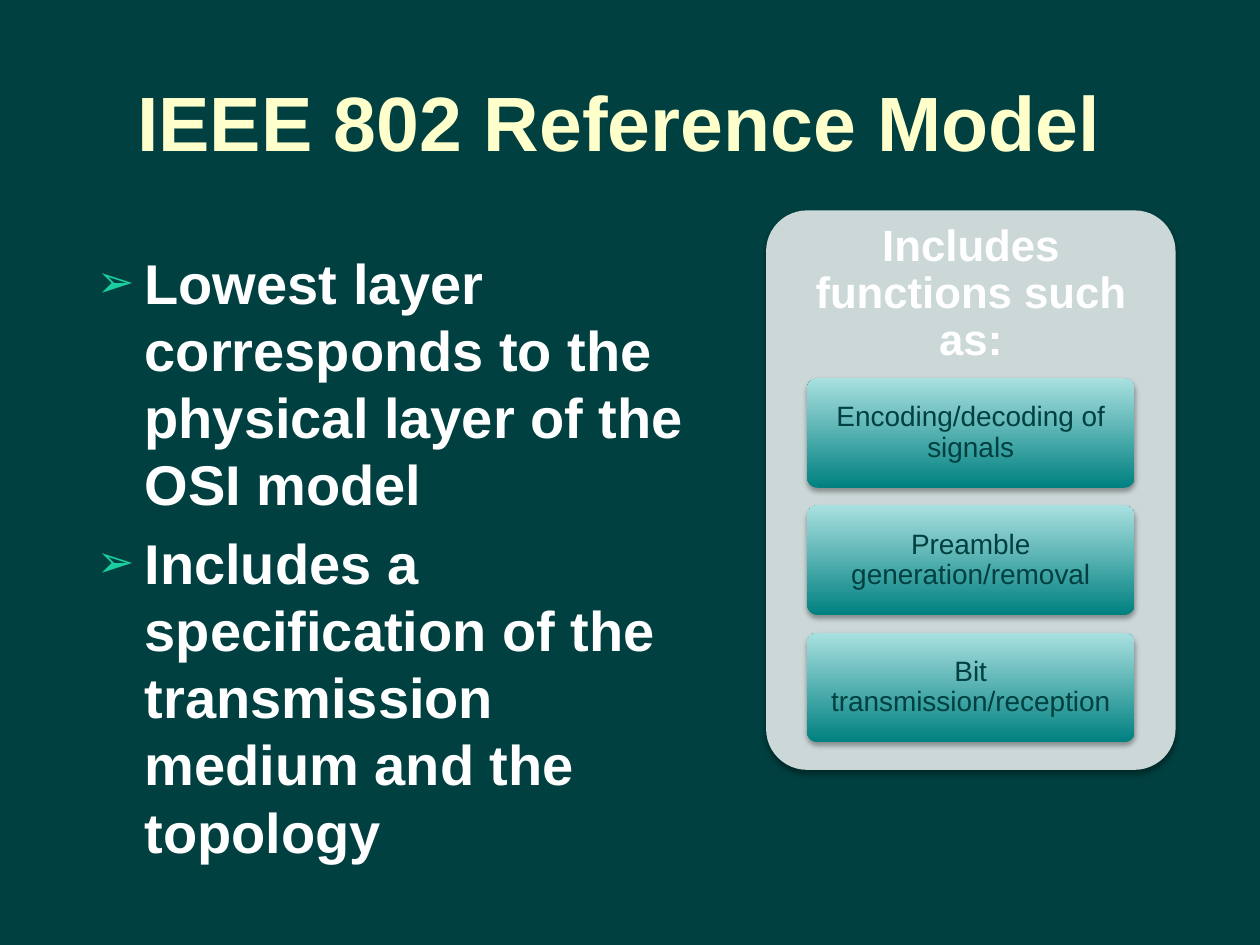
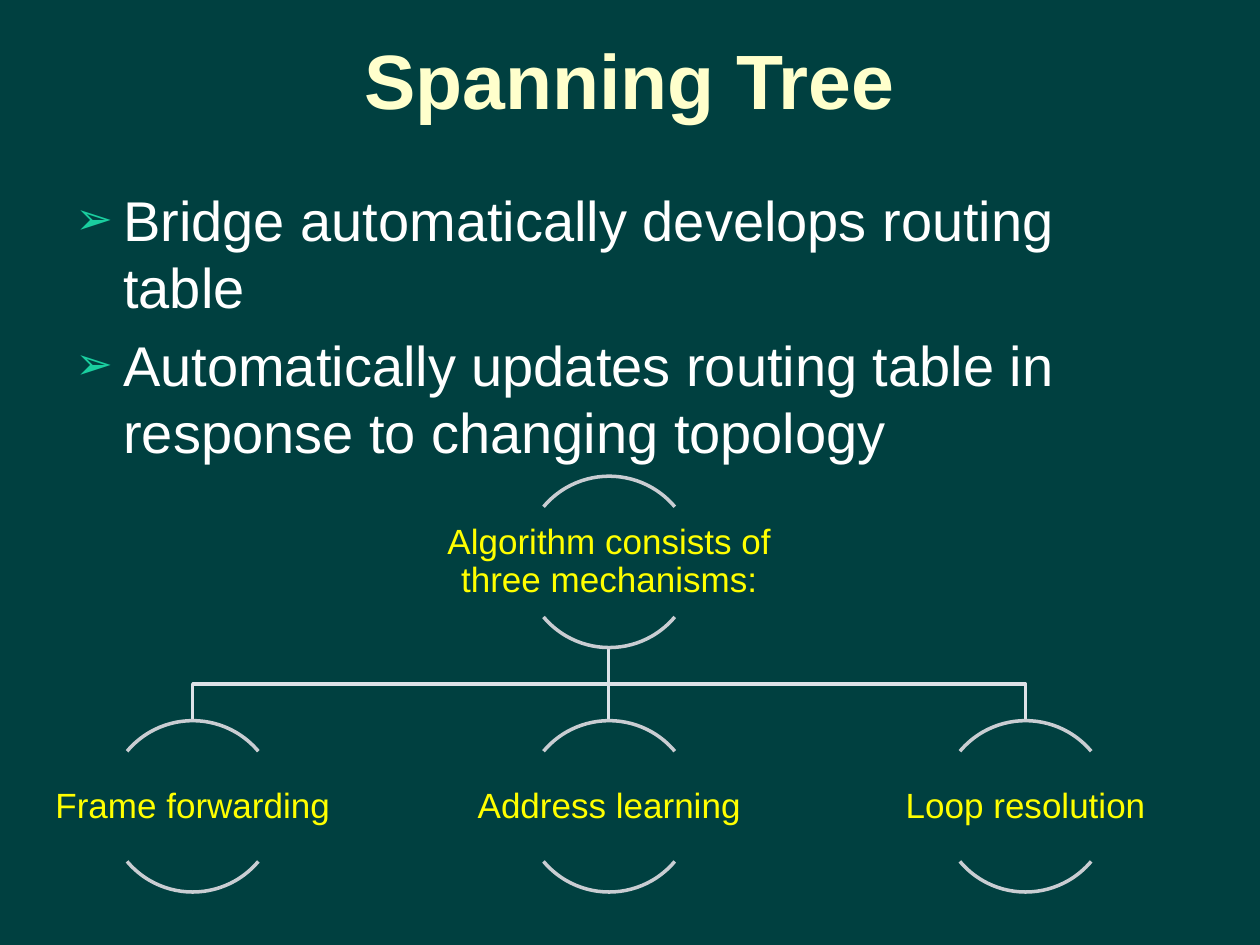
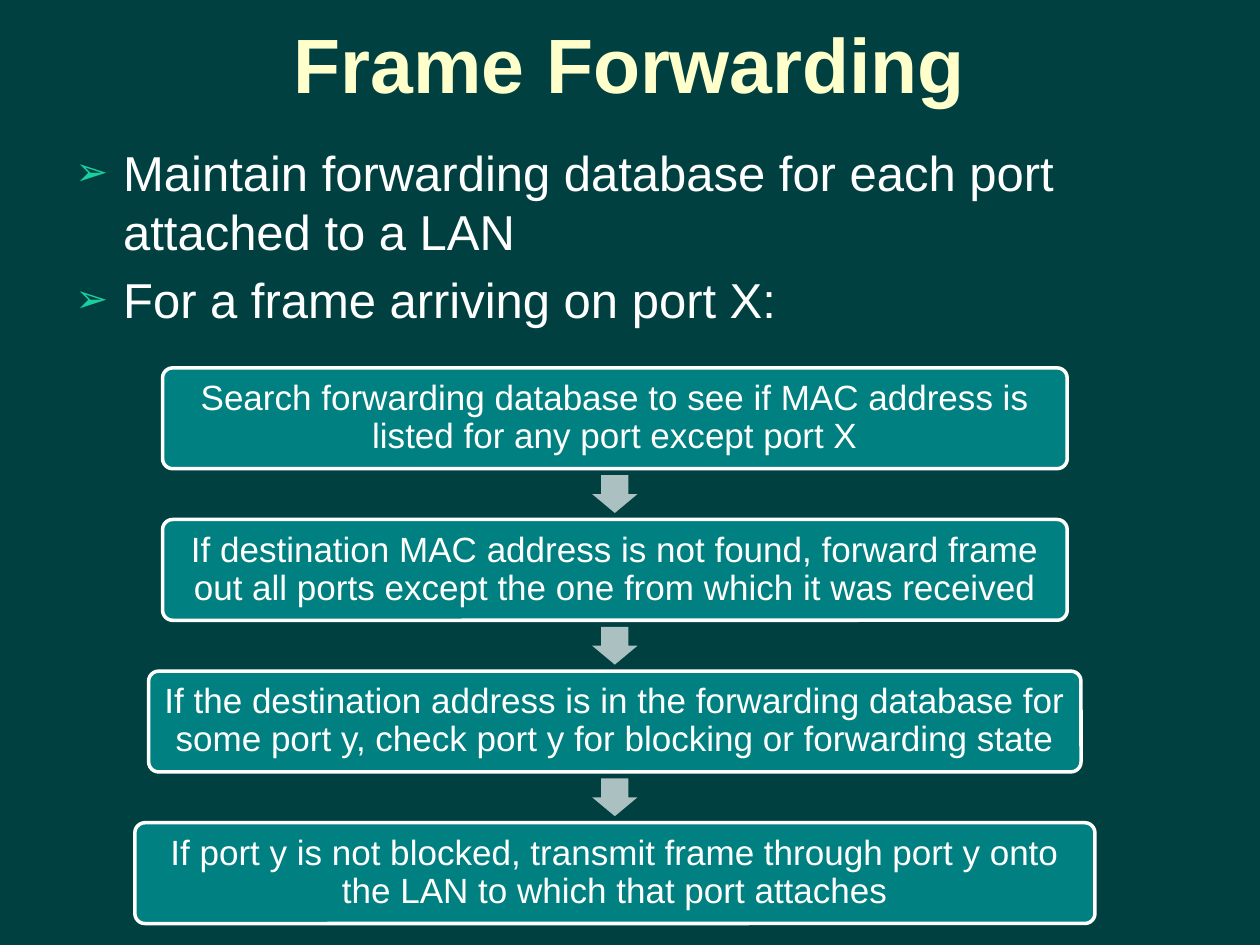
from dataclasses import dataclass

from lxml import etree
from pptx import Presentation
from pptx import util as u
from pptx.dml.color import RGBColor
from pptx.enum import shapes, text
from pptx.oxml import ns


@dataclass(frozen=True)
class Theme:
    font: str = "Arial"
    background: str = "004040"
    title: str = "FFFFCC"
    light: str = "FFFFFF"
    bullet: str = "1ACE9F"
    panel: str = "CCD8D8"
    teal: str = "008080"
    pale_teal: str = "A9E0E0"
    arrow: str = "ABC0C0"
    arc: str = "C9CDD2"
    branch: str = "DDE2E7"
    node: str = "FFFF00"
    title_size: int = 44
    body_size: int = 32
    small_body_size: int = 28
    heading_size: int = 25
    label_size: int = 20
    card_size: int = 16
    line_width: int = 2


@dataclass(frozen=True)
class Box:
    left: float
    top: float
    width: float
    height: float

    def inches(self):
        return [u.Inches(v) for v in (self.left, self.top, self.width, self.height)]


THEME = Theme()
SHAPE = shapes.MSO_SHAPE


def color(value):
    return RGBColor.from_string(value)


def add_xml(parent, tag, **attributes):
    return etree.SubElement(parent, ns.qn(tag), attributes)


def write_run(paragraph, words, size, ink, bold=False):
    run = paragraph.add_run()
    run.text = words
    run.font.name = THEME.font
    run.font.size = u.Pt(size)
    run.font.bold = bold
    run.font.color.rgb = color(ink)


def write_label(shape, words, size, ink, inset, bold=False):
    """Centre one tightly spaced paragraph in a shape."""
    frame = shape.text_frame
    frame.word_wrap = True
    frame.vertical_anchor = text.MSO_ANCHOR.MIDDLE
    frame.margin_left = frame.margin_right = u.Inches(inset)
    frame.margin_top = frame.margin_bottom = u.Inches(inset)
    paragraph = frame.paragraphs[0]
    paragraph.alignment = text.PP_ALIGN.CENTER
    paragraph.line_spacing = 0.9
    write_run(paragraph, words, size, ink, bold)


def add_plain_shape(slide, kind, box, adjustments, fill=None, line=None):
    shape = slide.shapes.add_shape(kind, *box.inches())
    shape.shadow.inherit = False
    for index, value in enumerate(adjustments):
        shape.adjustments[index] = value
    if fill:
        shape.fill.solid()
        shape.fill.fore_color.rgb = color(fill)
    else:
        shape.fill.background()
    style_line(shape, line)
    return shape


def style_line(shape, ink):
    if ink:
        shape.line.color.rgb = color(ink)
        shape.line.width = u.Pt(THEME.line_width)
    else:
        shape.line.fill.background()


def add_soft_shadow(shape):
    effects = shape._element.spPr.find(ns.qn("a:effectLst"))
    shadow = add_xml(effects, "a:outerShdw", blurRad=str(u.Pt(3.1)), dist=str(u.Pt(1.8)),
                     dir="5400000", rotWithShape="0")
    ink = add_xml(shadow, "a:srgbClr", val="000000")
    add_xml(ink, "a:alpha", val="35000")


def add_slide(presentation, title, title_box):
    slide = presentation.slides.add_slide(presentation.slide_layouts[6])
    slide.background.fill.solid()
    slide.background.fill.fore_color.rgb = color(THEME.background)
    frame = slide.shapes.add_textbox(*title_box.inches()).text_frame
    frame.word_wrap = True
    frame.vertical_anchor = text.MSO_ANCHOR.MIDDLE
    frame.paragraphs[0].alignment = text.PP_ALIGN.CENTER
    write_run(frame.paragraphs[0], title, THEME.title_size, THEME.title, bold=True)
    return slide


def add_bullets(slide, box, items, size, bold=False):
    frame = slide.shapes.add_textbox(*box.inches()).text_frame
    frame.word_wrap = True
    for index, item in enumerate(items):
        paragraph = frame.add_paragraph() if index else frame.paragraphs[0]
        paragraph.space_before = u.Pt(size * 0.2)
        properties = paragraph._p.get_or_add_pPr()
        indent = u.Inches(0.38)
        properties.set("marL", str(indent))
        properties.set("indent", str(-indent))
        add_xml(add_xml(properties, "a:buClr"), "a:srgbClr", val=THEME.bullet)
        add_xml(properties, "a:buSzPct", val="80000")
        add_xml(properties, "a:buFont", typeface=THEME.font)
        add_xml(properties, "a:buChar", char="➢")
        write_run(paragraph, item, size, THEME.light, bold)


def add_function_panel(slide, box, heading, functions):
    panel = add_plain_shape(slide, SHAPE.ROUNDED_RECTANGLE, box, [0.1], THEME.panel)
    add_soft_shadow(panel)
    heading_height = box.height * 0.3
    heading_box = Box(box.left, box.top, box.width, heading_height)
    write_label(slide.shapes.add_textbox(*heading_box.inches()), heading,
                THEME.heading_size, THEME.light, 0.1, bold=True)
    card_width, card_height, pitch = box.width * 0.8, 0.87, 1.01
    for index, function in enumerate(functions):
        card_box = Box(box.left + (box.width - card_width) / 2,
                       box.top + heading_height + index * pitch, card_width, card_height)
        card = add_plain_shape(slide, SHAPE.ROUNDED_RECTANGLE, card_box, [0.1])
        card.fill.gradient()
        card.fill.gradient_angle = 90
        for stop, ink in zip(card.fill.gradient_stops, (THEME.teal, THEME.pale_teal)):
            stop.color.rgb = color(ink)
        add_soft_shadow(card)
        write_label(card, function, THEME.card_size, THEME.background, 0.03)


def add_node(slide, box, label):
    """Draw a label between the top and bottom arcs of a circle."""
    for angles in ((132, 192), (24, 84)):
        add_plain_shape(slide, SHAPE.ARC, box, angles, line=THEME.arc)
    label_box = Box(box.left - box.width / 2, box.top + 0.25, box.width * 2, 0.87)
    write_label(slide.shapes.add_textbox(*label_box.inches()), label,
                THEME.label_size, THEME.node, 0.01)


def add_branch(slide, start_x, start_y, end_x, end_y):
    """Join parent to child: straight down, or by an elbow halfway."""
    start_x, start_y, end_x, end_y = map(u.Inches, (start_x, start_y, end_x, end_y))
    if start_x == end_x:
        branch = slide.shapes.add_connector(
            shapes.MSO_CONNECTOR.STRAIGHT, start_x, start_y, end_x, end_y)
        add_xml(branch._element.spPr, "a:effectLst")
    else:
        middle_y = (start_y + end_y) // 2
        builder = slide.shapes.build_freeform(start_x, start_y)
        builder.add_line_segments(
            [(start_x, middle_y), (end_x, middle_y), (end_x, end_y)], close=False)
        branch = builder.convert_to_shape()
        branch.shadow.inherit = False
        branch.fill.background()
    style_line(branch, THEME.branch)


def add_tree(slide, box, root, children):
    circle = 1.36
    pitch = (box.width - 2 * circle) / (len(children) - 1)
    center = box.left + box.width / 2
    child_top = box.top + box.height - circle
    centers = [box.left + circle + index * pitch for index in range(len(children))]
    for child_center in centers:
        add_branch(slide, round(center, 2), box.top + circle, round(child_center, 2), child_top)
    add_node(slide, Box(center - circle / 2, box.top, circle, circle), root)
    for child_center, child in zip(centers, children):
        add_node(slide, Box(child_center - circle / 2, child_top, circle, circle), child)


def add_flow(slide, box, steps):
    """Stack (text, width) steps, centred, with an arrow in each gap."""
    step_height = 0.8
    pitch = (box.height - step_height) / (len(steps) - 1)
    arrow_width, arrow_height = 0.36, 0.3
    center = box.left + box.width / 2
    for index, (words, width) in enumerate(steps):
        top = box.top + index * pitch
        if index:
            gap_center = top - (pitch - step_height) / 2
            arrow_box = Box(center - arrow_width / 2, gap_center - arrow_height / 2,
                            arrow_width, arrow_height)
            add_plain_shape(slide, SHAPE.DOWN_ARROW, arrow_box, [0.6, 0.5], THEME.arrow)
        step = add_plain_shape(slide, SHAPE.ROUNDED_RECTANGLE,
                               Box(center - width / 2, top, width, step_height),
                               [0.1], THEME.teal, THEME.light)
        write_label(step, words, THEME.label_size, THEME.light, 0.08)


def build_reference_model(presentation):
    slide = add_slide(presentation, "IEEE 802 Reference Model ", Box(0, 0.33, 10, 1.25))
    add_bullets(slide, Box(0.67, 1.92, 5.17, 5.17), [
        "Lowest layer corresponds to the physical layer of the OSI model",
        "Includes a specification of the transmission medium and the topology",
    ], THEME.body_size, bold=True)
    add_function_panel(slide, Box(6.08, 1.67, 3.25, 4.44), "Includes functions such as:", [
        "Encoding/decoding of signals",
        "Preamble generation/removal",
        "Bit transmission/reception",
    ])


def build_spanning_tree(presentation):
    slide = add_slide(presentation, "Spanning Tree", Box(0.5, 0, 9, 1.25))
    add_bullets(slide, Box(0.5, 1.42, 9, 5.29), [
        "Bridge automatically develops routing table",
        "Automatically updates routing table in response to changing topology",
    ], THEME.body_size)
    add_tree(slide, Box(0.17, 3.78, 9.33, 3.3), "Algorithm consists of three mechanisms:",
             ["Frame forwarding", "Address learning", "Loop resolution"])


def build_frame_forwarding(presentation):
    slide = add_slide(presentation, "Frame Forwarding", Box(0.5, 0, 9, 1))
    add_bullets(slide, Box(0.5, 1.08, 9, 4.87), [
        "Maintain forwarding database for each port attached to a LAN",
        "For a frame arriving on port X:",
    ], THEME.small_body_size)
    add_flow(slide, Box(1.07, 2.92, 7.62, 4.41), [
        ("Search forwarding database to see if MAC address is listed for any port "
         "except port X", 7.18),
        ("If destination MAC address is not found, forward frame out all ports except "
         "the one from which it was received", 7.18),
        ("If the destination address is in the forwarding database for some port y, "
         "check port y for blocking or forwarding state", 7.4),
        ("If port y is not blocked, transmit frame through port y onto the LAN to which "
         "that port attaches", 7.62),
    ])


def main():
    presentation = Presentation()
    presentation.slide_width = u.Inches(10)
    presentation.slide_height = u.Inches(7.5)
    build_reference_model(presentation)
    build_spanning_tree(presentation)
    build_frame_forwarding(presentation)
    presentation.save("out.pptx")


if __name__ == "__main__":
    main()
